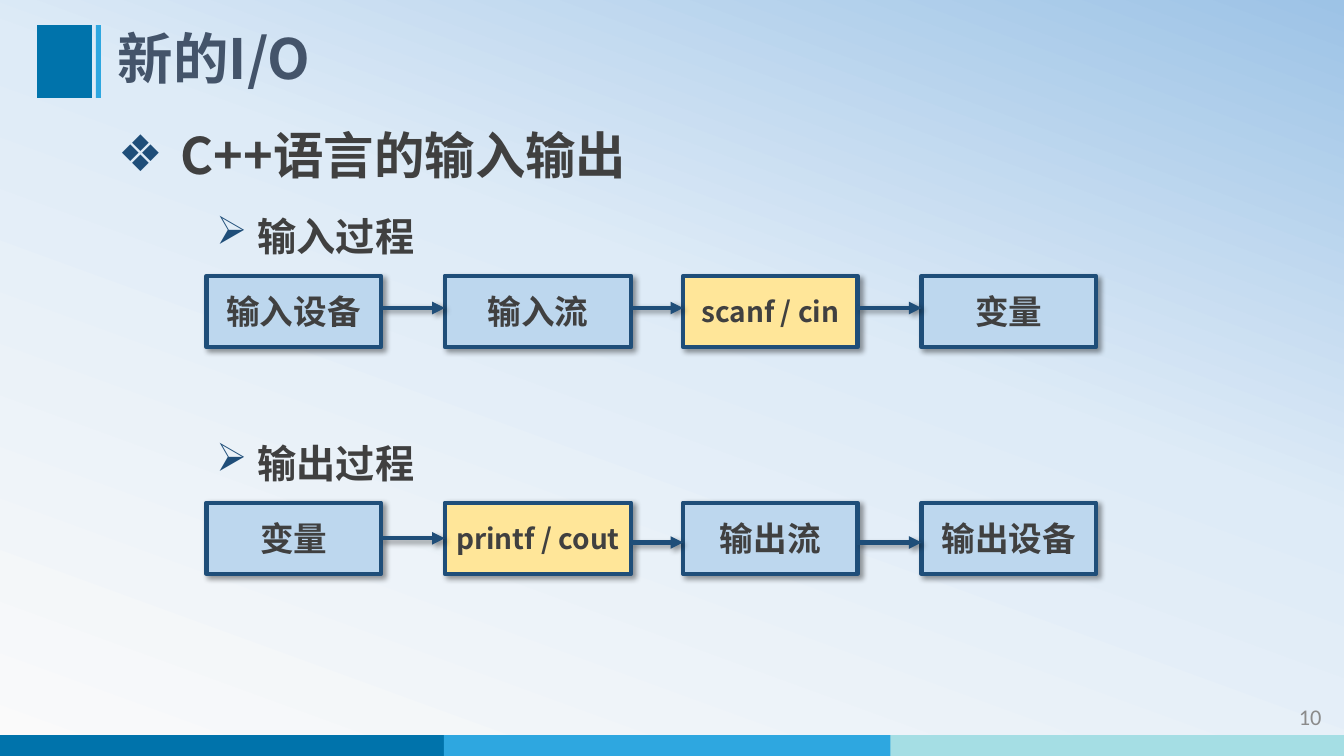
from lxml import etree
from pptx import Presentation
from pptx.dml.color import RGBColor
from pptx.enum.shapes import MSO_CONNECTOR as Connector, MSO_SHAPE as Shape
from pptx.enum.text import MSO_ANCHOR as Anchor, MSO_AUTO_SIZE as AutoSize, PP_ALIGN as Align
from pptx.oxml import parse_xml
from pptx.oxml.ns import nsdecls, qn
from pptx.util import Pt

DEEP_BLUE = RGBColor(0x00, 0x73, 0xAB)
SKY_BLUE = RGBColor(0x2E, 0xA7, 0xE0)
PALE_TEAL = RGBColor(0xA5, 0xDE, 0xE4)
SLATE = RGBColor(0x44, 0x54, 0x6A)
NAVY = RGBColor(0x1F, 0x4E, 0x79)
BOX_BLUE = RGBColor(0xBD, 0xD7, 0xEE)
BOX_YELLOW = RGBColor(0xFF, 0xE6, 0x99)
INK = RGBColor(0x40, 0x40, 0x40)
GREY = RGBColor(0x8B, 0x8B, 0x8B)
BACKDROP = [(0, RGBColor(0xFA, 0xFA, 0xFA)), (58, RGBColor(0xDE, 0xEB, 0xF7)),
            (100, RGBColor(0x9D, 0xC3, 0xE6))]
CJK = "Noto Sans CJK SC"


def write(frame, text, size, color, font=CJK, bold=True, align=Align.LEFT):
    frame.text = text
    paragraph = frame.paragraphs[0]
    paragraph.alignment = align
    paragraph.space_before = Pt(0)
    run = paragraph.runs[0]
    run.font.size, run.font.bold, run.font.name = Pt(size), bold, font
    run.font.color.rgb = color
    east_asian = etree.SubElement(run.font._element, qn("a:ea"))
    east_asian.set("typeface", font)
    return paragraph


def add_bullet(paragraph, char, indent):
    props = paragraph._p.get_or_add_pPr()
    props.set("marL", str(Pt(indent)))
    props.set("indent", str(-Pt(indent)))
    bullet_color = etree.SubElement(props, qn("a:buClr"))
    etree.SubElement(bullet_color, qn("a:srgbClr")).set("val", str(NAVY))
    etree.SubElement(props, qn("a:buChar")).set("char", char)


def move(item, left, top, width, height):
    item.left, item.top, item.width, item.height = map(Pt, (left, top, width, height))


def add_rect(slide, left, top, width, height, fill):
    rect = slide.shapes.add_shape(Shape.RECTANGLE, *map(Pt, (left, top, width, height)))
    rect.shadow.inherit = False
    rect.fill.solid()
    rect.fill.fore_color.rgb = fill
    rect.line.fill.background()
    return rect


def outline(item):
    """Navy border with a soft shadow, shared by boxes and arrows."""
    item.line.color.rgb = NAVY
    item.line.width = Pt(3)
    props = item._element.spPr
    effects = props.find(qn("a:effectLst"))
    if effects is None:
        effects = etree.SubElement(props, qn("a:effectLst"))
    effects.append(parse_xml(
        f'<a:outerShdw {nsdecls("a")} blurRad="{Pt(4)}" dist="{Pt(3)}" dir="2700000" '
        'algn="tl" rotWithShape="0"><a:srgbClr val="000000">'
        '<a:alpha val="40000"/></a:srgbClr></a:outerShdw>'))


def add_backdrop(slide):
    fill = slide.background.fill
    fill.gradient()
    gradient = slide._element.find(".//" + qn("a:gradFill"))
    stops = "".join(f'<a:gs pos="{pos * 1000}"><a:srgbClr val="{color}"/></a:gs>'
                    for pos, color in BACKDROP)
    gradient.getparent().replace(gradient, parse_xml(
        f'<a:gradFill {nsdecls("a")} rotWithShape="1"><a:gsLst>{stops}</a:gsLst>'
        '<a:lin ang="17400000" scaled="0"/></a:gradFill>'))


def add_footer(slide, left, top, number):
    # Colour bars overlap slightly
    for index, color in enumerate((DEEP_BLUE, SKY_BLUE, PALE_TEAL)):
        add_rect(slide, left + index * 319, top, 324, 15, color)
    # Page number
    page = slide.shapes.add_textbox(Pt(left + 838.5), Pt(top - 27.5), Pt(114.5), Pt(29))
    page.text_frame.word_wrap = True
    page.text_frame.vertical_anchor = Anchor.MIDDLE
    write(page.text_frame, number, 16, GREY, "Calibri", False, Align.RIGHT)


def add_title(slide, left, top, height, text):
    add_rect(slide, left, top, 39, height, DEEP_BLUE)
    add_rect(slide, left + 41.8, top, 3.6, height, SKY_BLUE)
    title = slide.shapes.title
    move(title, left + 50.4, top, 782, height)
    title.text_frame.vertical_anchor = Anchor.MIDDLE
    title.text_frame.auto_size = AutoSize.NONE
    write(title.text_frame, text, 39.6, SLATE).line_spacing = 0.9


def add_topic(slide, left, top, text):
    topic = slide.placeholders[1]
    move(topic, left, top, 395, 51)
    topic.text_frame.word_wrap = False
    topic.text_frame.auto_size = AutoSize.NONE
    add_bullet(write(topic.text_frame, text, 36, INK), "❖", 45)


def add_process(slide, left, top, heading, steps, arrow_drops):
    """A heading over a row of boxes; each step is (text, is_function)."""
    label = slide.shapes.add_textbox(Pt(left), Pt(top), Pt(158), Pt(41))
    label.text_frame.word_wrap = False
    add_bullet(write(label.text_frame, heading, 28, INK), "➢", 29.5)

    # Boxes, the second one wider
    row_top, pitch = top + 49, 170.25
    widths = (124.5, 133, 124.5, 124.5)
    for index, (text, is_function) in enumerate(steps):
        box = add_rect(slide, left + index * pitch, row_top, widths[index], 51,
                       BOX_YELLOW if is_function else BOX_BLUE)
        outline(box)
        box.text_frame.word_wrap = False
        box.text_frame.vertical_anchor = Anchor.MIDDLE
        write(box.text_frame, text, 20 if is_function else 24, INK, align=Align.CENTER)

    # Arrows from each box to the next
    for index, drop in enumerate(arrow_drops):
        start, y = left + index * pitch, Pt(row_top + drop)
        arrow = slide.shapes.add_connector(
            Connector.STRAIGHT, Pt(start + widths[index]), y, Pt(start + pitch), y)
        outline(arrow)
        etree.SubElement(arrow.line._get_or_add_ln(), qn("a:tailEnd")).set("type", "triangle")


def main():
    prs = Presentation()
    prs.slide_width, prs.slide_height = Pt(960), Pt(540)
    slide = prs.slides.add_slide(prs.slide_layouts[1])
    add_backdrop(slide)
    add_footer(slide, -2, 525, "10")
    add_title(slide, 26.6, 18, 52, "新的I/O")
    add_topic(slide, 77, 85, "C++语言的输入输出")
    add_process(slide, 147.5, 148, "输入过程",
                [("输入设备", False), ("输入流", False), ("scanf / cin", True), ("变量", False)],
                (23, 23, 23))
    add_process(slide, 147.5, 310, "输出过程",
                [("变量", False), ("printf / cout", True), ("输出流", False), ("输出设备", False)],
                (25.5, 28.5, 28.5))
    prs.save("out.pptx")


if __name__ == "__main__":
    main()
